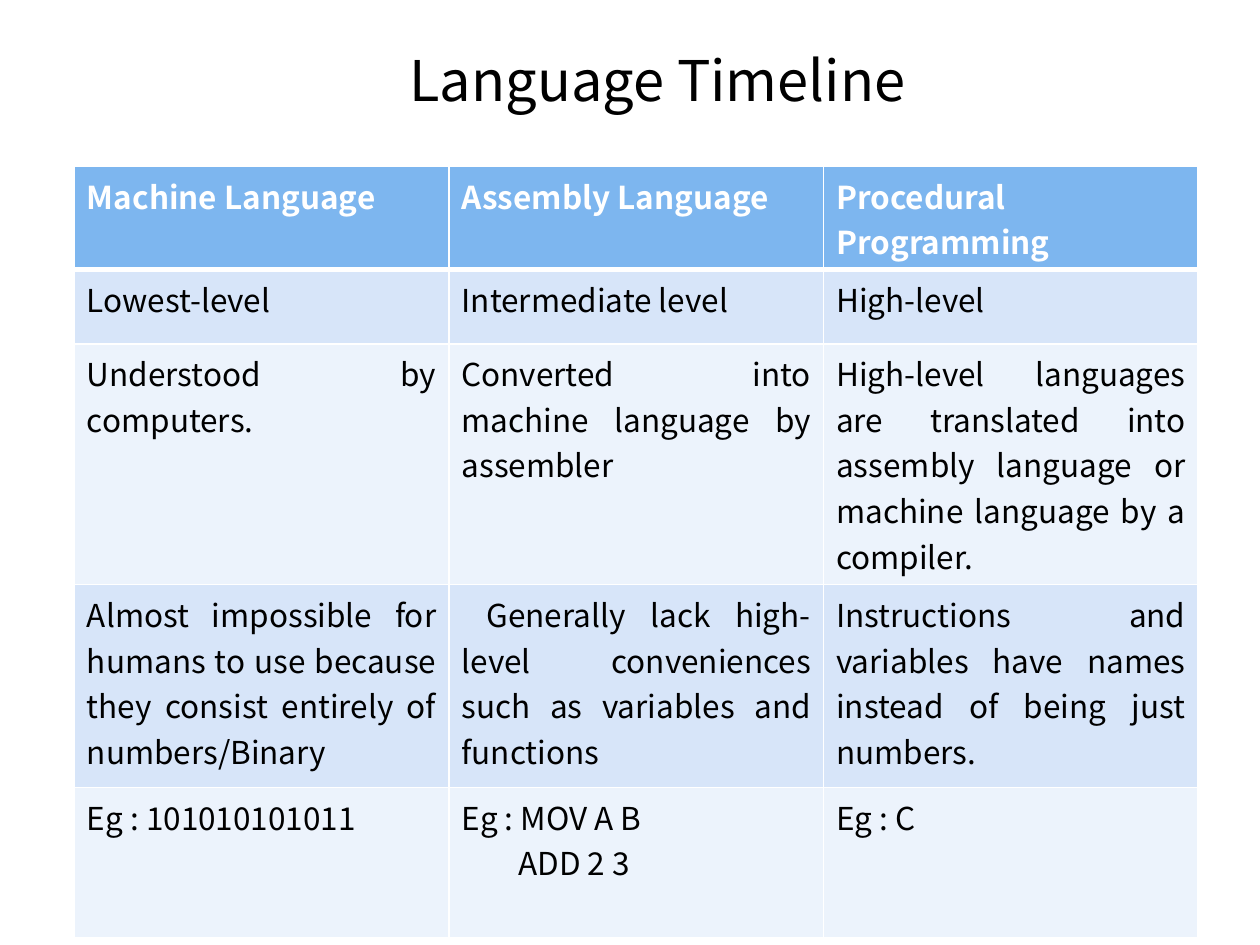
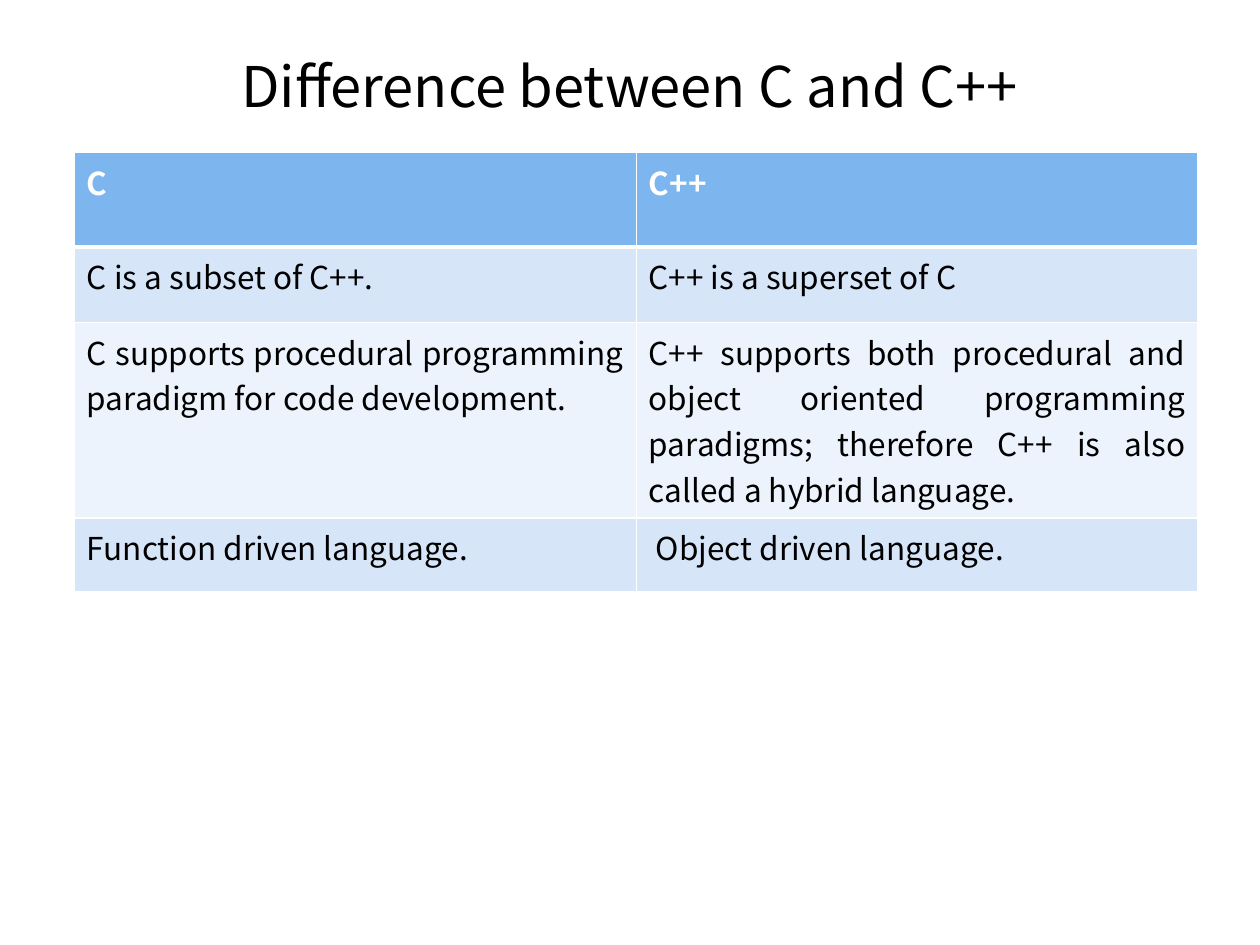
"""Builds two slides that compare programming languages in tables."""
import dataclasses

import lxml.etree
import pptx
import pptx.dml.color
import pptx.enum.text
import pptx.oxml.ns
import pptx.util

Inches = pptx.util.Inches
Pt = pptx.util.Pt
Align = pptx.enum.text.PP_ALIGN


@dataclasses.dataclass(frozen=True)
class Theme:
    """Colours, font and sizes shared by the slides."""
    font: str = "Noto Sans CJK JP"
    title_size: int = 32
    body_size: int = 18
    text: str = "000000"
    header_text: str = "FFFFFF"
    header_fill: str = "7DB6EF"
    band_fills: tuple = ("D7E5F9", "ECF3FC")
    border: str = "FFFFFF"
    border_width: int = 1
    header_border_width: int = 3


THEME = Theme()
TABLE_LEFT, TABLE_WIDTH = 0.59, 8.92
TITLE_WIDTH, TITLE_HEIGHT = 8.5, 0.63
CODE_INDENT = 0.45


def rgb(color):
    """Turn a hexadecimal string into a colour."""
    return pptx.dml.color.RGBColor.from_string(color)


def style_paragraph(paragraph, size, color, alignment, bold=False):
    """Set the font and alignment of a paragraph."""
    paragraph.alignment = alignment
    font = paragraph.font
    font.name, font.size, font.bold = THEME.font, Pt(size), bold
    font.color.rgb = rgb(color)


def add_title(slide, text, left, top):
    """Place a centred title in its box."""
    box = slide.shapes.add_textbox(Inches(left), Inches(top),
                                   Inches(TITLE_WIDTH), Inches(TITLE_HEIGHT))
    frame = box.text_frame
    frame.word_wrap = True
    frame.vertical_anchor = pptx.enum.text.MSO_ANCHOR.MIDDLE
    frame.text = text
    style_paragraph(frame.paragraphs[0], THEME.title_size, THEME.text, Align.CENTER)


def set_borders(cell, top_width, bottom_width):
    """Draw the four borders of a cell, ahead of its fill in the XML."""
    qn = pptx.oxml.ns.qn
    properties = cell._tc.get_or_add_tcPr()
    widths = {"lnL": THEME.border_width, "lnR": THEME.border_width,
              "lnT": top_width, "lnB": bottom_width}
    for position, (side, width) in enumerate(widths.items()):
        line = lxml.etree.Element(qn("a:" + side), w=str(Pt(width)))
        fill = lxml.etree.SubElement(line, qn("a:solidFill"))
        lxml.etree.SubElement(fill, qn("a:srgbClr"), val=THEME.border)
        properties.insert(position, line)


def fill_cell(cell, text, row):
    """Write and style one cell; lines after the first are indented."""
    header = row == 0
    cell.fill.solid()
    cell.fill.fore_color.rgb = rgb(
        THEME.header_fill if header else THEME.band_fills[(row - 1) % 2])
    set_borders(cell,
                THEME.header_border_width if row == 1 else THEME.border_width,
                THEME.header_border_width if header else THEME.border_width)
    cell.text = text
    for number, paragraph in enumerate(cell.text_frame.paragraphs):
        style_paragraph(paragraph, THEME.body_size,
                        THEME.header_text if header else THEME.text,
                        Align.JUSTIFY, header)
        if number:
            paragraph._p.get_or_add_pPr().set("marL", str(Inches(CODE_INDENT)))


def add_comparison(slide, rows, heights, top):
    """Place a table of equal columns, with a header and banded rows."""
    columns = len(rows[0])
    table = slide.shapes.add_table(
        len(rows), columns, Inches(TABLE_LEFT), Inches(top),
        Inches(TABLE_WIDTH), Inches(sum(heights))).table
    for column in table.columns:
        column.width = Inches(TABLE_WIDTH / columns)
    for row, (texts, height) in enumerate(zip(rows, heights)):
        table.rows[row].height = Inches(height)
        for column, text in enumerate(texts):
            fill_cell(table.cell(row, column), text, row)


def add_comparison_slide(presentation, title, title_at, rows, heights, table_top):
    """Add a slide with a title above a comparison table."""
    slide = presentation.slides.add_slide(presentation.slide_layouts[6])
    add_title(slide, title, *title_at)
    add_comparison(slide, rows, heights, table_top)


TIMELINE = [
    ("Machine Language", "Assembly Language", "Procedural Programming"),
    ("Lowest-level", "Intermediate level", "High-level"),
    ("Understood by computers.",
     "Converted into machine language by assembler",
     "High-level languages are translated into assembly language or "
     "machine language by a compiler."),
    ("Almost impossible for humans to use because they consist entirely of "
     "numbers/Binary",
     " Generally lack high-level conveniences such as variables and functions",
     "Instructions and variables have names instead of being just numbers."),
    ("Eg : 101010101011", "Eg : MOV A B\nADD 2 3", "Eg : C"),
]
DIFFERENCES = [
    ("C", "C++"),
    ("C is a subset of C++.", "C++ is a superset of C"),
    ("C supports procedural programming paradigm for code development.",
     "C++ supports both procedural and object oriented programming paradigms; "
     "therefore C++ is also called a hybrid language."),
    ("Function driven language.", " Object driven language."),
]


def main():
    """Build and save the presentation."""
    presentation = pptx.Presentation()
    presentation.slide_width, presentation.slide_height = Inches(10), Inches(7.5)
    add_comparison_slide(presentation, "Language Timeline", (0.97, 0.31),
                         TIMELINE, (0.82, 0.59, 1.91, 1.61, 1.19), 1.32)
    add_comparison_slide(presentation, "Difference between C and C++", (0.75, 0.36),
                         DIFFERENCES, (0.75, 0.6, 1.55, 0.59), 1.21)
    presentation.save("out.pptx")


main()
